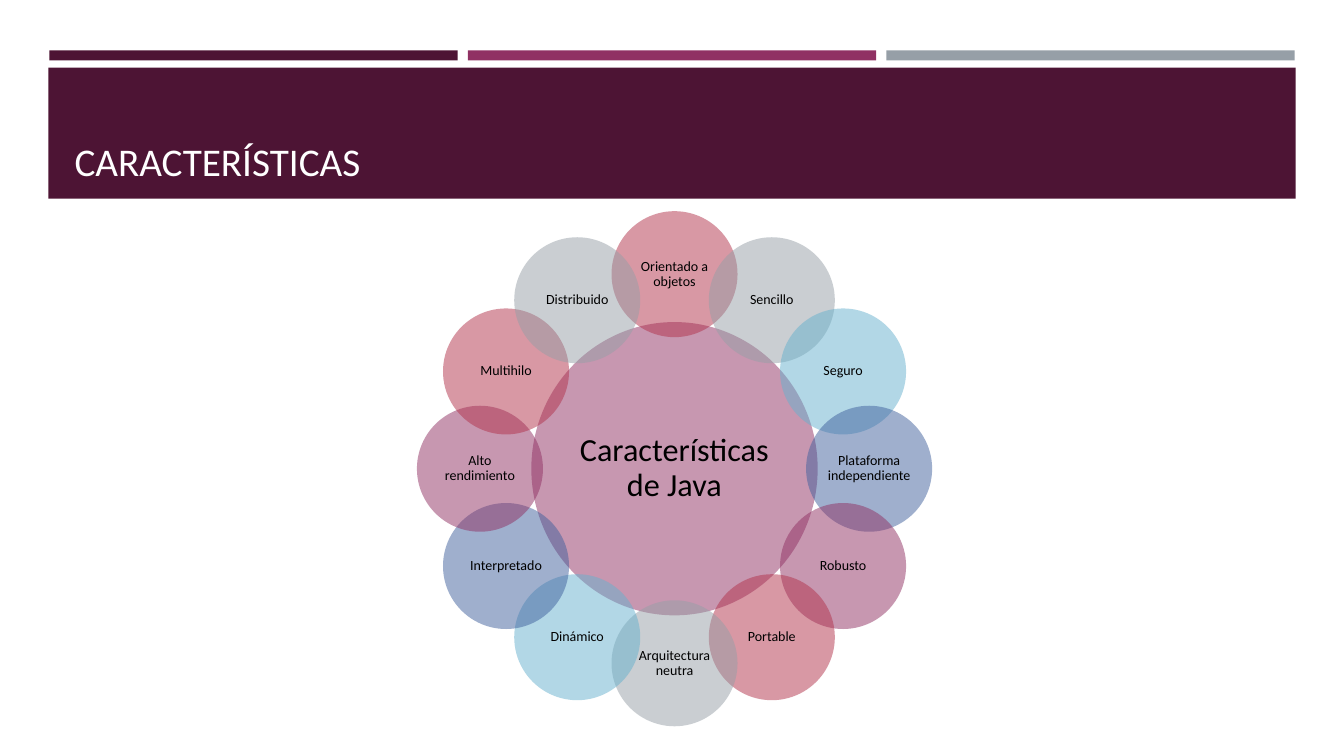
import math
from dataclasses import dataclass
from itertools import cycle

from lxml import etree
from pptx import Presentation
from pptx.dml.color import RGBColor
from pptx.enum import shapes, text
from pptx.oxml import ns
from pptx.util import Inches, Pt


@dataclass(frozen=True)
class Theme:
    font: str = "Calibri"
    dark: str = "4D1434"
    plum: str = "903163"
    red: str = "B2324B"
    grey: str = "969FA7"
    sky: str = "66B1CE"
    blue: str = "40619D"
    white: str = "FFFFFF"
    black: str = "000000"
    title_size: int = 28
    hub_size: int = 23
    petal_size: int = 10


theme = Theme()


def add_filled(kind, left, top, width, height, color):
    sp = s.shapes.add_shape(kind, Inches(left), Inches(top), Inches(width), Inches(height))
    sp.shadow.inherit = False
    sp.fill.solid()
    sp.fill.fore_color.rgb = RGBColor.from_string(color)
    sp.line.fill.background()
    return sp


def add_circle(cx, cy, width, height, color, label, size, inset):
    sp = add_filled(shapes.MSO_SHAPE.OVAL, cx - width / 2, cy - height / 2, width, height, color)
    # Half transparent fill
    srgb = sp.fill._xPr.find(".//" + ns.qn("a:srgbClr"))
    etree.SubElement(srgb, ns.qn("a:alpha"), val="50000")
    tf = sp.text_frame
    tf.text = label
    tf.word_wrap = True
    tf.vertical_anchor = text.MSO_ANCHOR.MIDDLE
    tf.margin_left = tf.margin_right = tf.margin_top = tf.margin_bottom = Inches(inset)
    p = tf.paragraphs[0]
    p.alignment = text.PP_ALIGN.CENTER
    p.line_spacing = 0.9
    r = p.runs[0]
    r.font.name = theme.font
    r.font.size = Pt(size)
    r.font.color.rgb = RGBColor.from_string(theme.black)


prs = Presentation()
prs.slide_width, prs.slide_height = Inches(13.33), Inches(7.5)
s = prs.slides.add_slide(prs.slide_layouts[5])

# Three accent bars and the title band
for i, color in enumerate((theme.dark, theme.plum, theme.grey)):
    add_filled(shapes.MSO_SHAPE.RECTANGLE, 0.49 + 4.15 * i, 0.5, 4.05, 0.1, color)
add_filled(shapes.MSO_SHAPE.RECTANGLE, 0.48, 0.67, 12.37, 1.3, theme.dark)

# Title, raised above the band
title = s.shapes.title
s.shapes._spTree.append(title._element)
title.left, title.top = Inches(0.64), Inches(0.77)
title.width, title.height = Inches(12.06), Inches(1.11)
tf = title.text_frame
tf.text = "CARACTERÍSTICAS"
tf.auto_size = text.MSO_AUTO_SIZE.NONE
tf.vertical_anchor = text.MSO_ANCHOR.BOTTOM
p = tf.paragraphs[0]
p.alignment = text.PP_ALIGN.LEFT
r = p.runs[0]
r.font.name = theme.font
r.font.size = Pt(theme.title_size)
r.font.color.rgb = RGBColor.from_string(theme.white)

# Hub of the wheel
hub_x, hub_y, ring_radius, petal = 6.69, 4.65, 1.93, 1.25
add_circle(hub_x, hub_y, 2.84, 2.91, theme.plum, "Características de Java", theme.hub_size, 0.03)

# Petals, clockwise from the top
features = [
    "Orientado a objetos", "Sencillo", "Seguro", "Plataforma independiente",
    "Robusto", "Portable", "Arquitectura neutra", "Dinámico",
    "Interpretado", "Alto rendimiento", "Multihilo", "Distribuido",
]
petal_colors = cycle((theme.red, theme.grey, theme.sky, theme.blue, theme.plum))
for i, (feature, color) in enumerate(zip(features, petal_colors)):
    angle = 2 * math.pi * i / len(features)
    add_circle(hub_x + ring_radius * math.sin(angle), hub_y - ring_radius * math.cos(angle),
               petal, petal, color, feature, theme.petal_size, 0.01)

prs.save("out.pptx")
